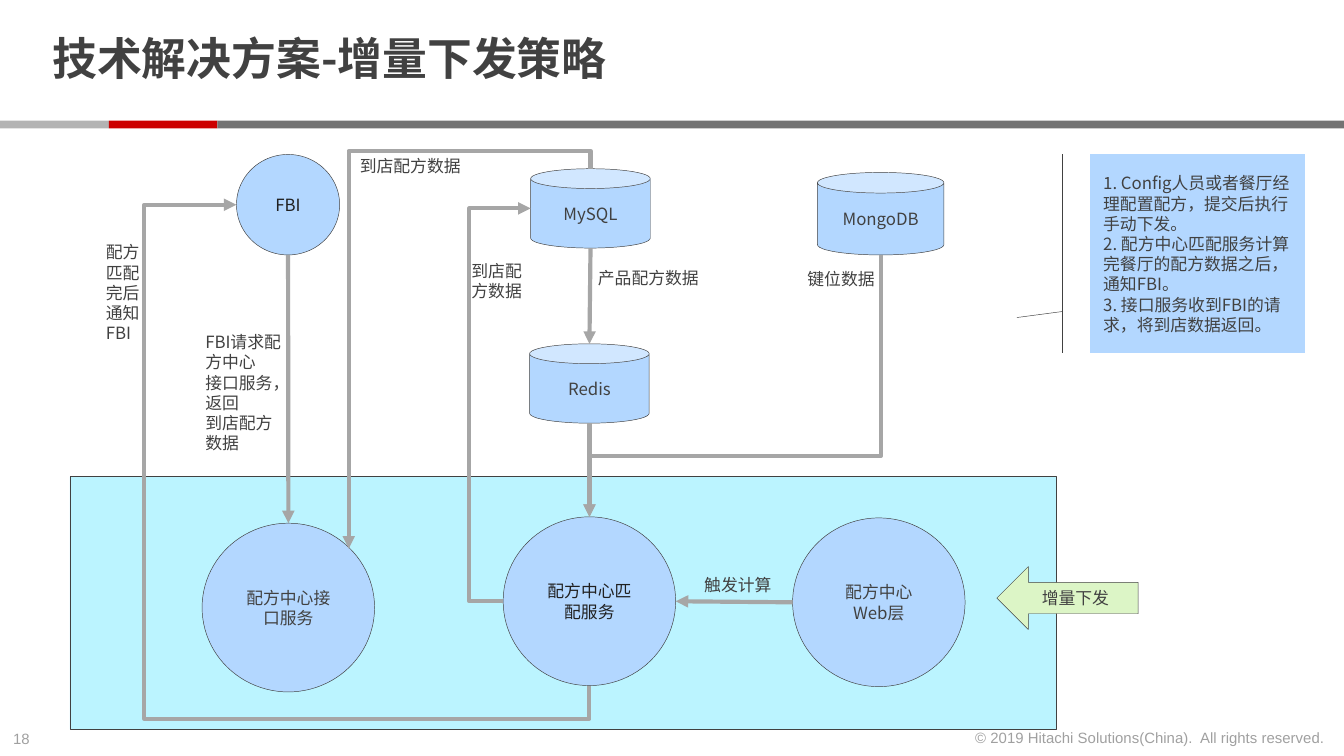
from dataclasses import dataclass

from lxml import etree
from pptx import Presentation
from pptx.dml.color import RGBColor
from pptx.enum.shapes import MSO_CONNECTOR, MSO_SHAPE
from pptx.enum.text import MSO_ANCHOR, PP_ALIGN
from pptx.oxml.ns import qn
from pptx.util import Cm, Pt

RECTANGLE, ELLIPSE, CAN = MSO_SHAPE.RECTANGLE, MSO_SHAPE.OVAL, MSO_SHAPE.CAN
LEFT_ARROW, CALLOUT = MSO_SHAPE.LEFT_ARROW, MSO_SHAPE.LINE_CALLOUT_1_ACCENT_BAR
STRAIGHT, ELBOW = MSO_CONNECTOR.STRAIGHT, MSO_CONNECTOR.ELBOW
LEFT, CENTER, RIGHT = PP_ALIGN.LEFT, PP_ALIGN.CENTER, PP_ALIGN.RIGHT
TOP, MIDDLE = MSO_ANCHOR.TOP, MSO_ANCHOR.MIDDLE


@dataclass(frozen=True)
class Theme:
    text: str = "414141"
    strong: str = "202020"
    muted: str = "A0A0A0"
    node: str = "B3D7FF"
    panel: str = "BBF4FF"
    trigger: str = "DCF5C6"
    connector: str = "A6A6A6"
    bands: tuple = ("B3B3B3", "CC0000", "737373")
    cjk: str = "Noto Sans CJK SC"
    latin: str = "Arial"
    title_size: float = 24
    body_size: float = 9
    footer_size: float = 8
    outline: float = 0.25
    arrow: float = 2.25


THEME = Theme()


@dataclass(frozen=True)
class Box:
    left: float
    top: float
    width: float
    height: float

    def inside(self, left, top, width, height):
        return Box(self.left + left, self.top + top, width, height)

    def at(self, across, down):
        return self.left + self.width * across, self.top + self.height * down

    def lengths(self):
        return Cm(self.left), Cm(self.top), Cm(self.width), Cm(self.height)


def write(shape, lines, size=THEME.body_size, color=THEME.text, font=THEME.cjk,
          align=LEFT, anchor=TOP, wrap=True, bold=False):
    frame = shape.text_frame
    frame.word_wrap = wrap
    frame.vertical_anchor = anchor
    for index, line in enumerate(lines):
        paragraph = frame.add_paragraph() if index else frame.paragraphs[0]
        paragraph.alignment = align
        run = paragraph.add_run()
        run.text = line
        run.font.size = Pt(size)
        run.font.bold = bold
        run.font.name = font
        run.font.color.rgb = RGBColor.from_string(color)
        east_asian = etree.SubElement(run.font._element, qn("a:ea"))
        east_asian.set("typeface", THEME.cjk)
    return frame


def add_text(slide, box, *lines, **style):
    return write(slide.shapes.add_textbox(*box.lengths()), lines, **style)


def add_block(slide, kind, box, fill, *lines, outlined=True, align=CENTER, color=THEME.text):
    shape = slide.shapes.add_shape(kind, *box.lengths())
    shape.shadow.inherit = False
    shape.fill.solid()
    shape.fill.fore_color.rgb = RGBColor.from_string(fill)
    if outlined:
        shape.line.color.rgb = RGBColor.from_string(THEME.text)
        shape.line.width = Pt(THEME.outline)
    else:
        shape.line.fill.background()
    write(shape, lines, color=color, align=align, anchor=MIDDLE)
    return shape


def add_arrow(slide, kind, start, end):
    connector = slide.shapes.add_connector(kind, *map(Cm, start + end))
    connector.line.color.rgb = RGBColor.from_string(THEME.connector)
    connector.line.width = Pt(THEME.arrow)
    etree.SubElement(connector.line._get_or_add_ln(), qn("a:tailEnd")).set("type", "triangle")
    etree.SubElement(connector._element.spPr, qn("a:effectLst"))
    return connector


def add_elbow(slide, start, end, lane_x=None, lane_y=None):
    (start_x, start_y), (end_x, end_y) = start, end
    across, down = end_x - start_x, end_y - start_y
    ratios = []
    if lane_y is not None:
        ratios.append((lane_y - start_y) / down)
    if lane_x is not None:
        ratios.append((lane_x - start_x) / across)
    if lane_y is None:
        connector = add_arrow(slide, ELBOW, start, end)
    else:
        middle_x, middle_y = (start_x + end_x) / 2, (start_y + end_y) / 2
        connector = add_arrow(slide, ELBOW,
                              (middle_x - down / 2, middle_y + across / 2),
                              (middle_x + down / 2, middle_y - across / 2))
        connector._element.spPr.find(qn("a:xfrm")).set("rot", str(90 * 60000))
    geometry = connector._element.spPr.find(qn("a:prstGeom"))
    geometry.set("prst", f"bentConnector{len(ratios) + 2}")
    guides = geometry.find(qn("a:avLst"))
    for number, ratio in enumerate(ratios, 1):
        guide = etree.SubElement(guides, qn("a:gd"))
        guide.set("name", f"adj{number}")
        guide.set("fmla", f"val {round(ratio * 100000)}")


def add_header(slide, box):
    frame = add_text(slide, box.inside(0.74, 0.15, 19.58, 2.03), "技术解决方案-增量下发策略",
                     size=THEME.title_size, anchor=MIDDLE, bold=True)
    frame.margin_top = frame.margin_bottom = 0
    frame.paragraphs[0].line_spacing = 0.85
    edges = (0, 2.06, 4.11, box.width)
    for left, right, color in zip(edges, edges[1:], THEME.bands):
        add_block(slide, RECTANGLE, box.inside(left, 2.28, right - left, 0.15), color,
                  outlined=False)


def add_diagram(slide, box):
    add_block(slide, RECTANGLE, box.inside(0, 6.21, 18.64, 4.78), THEME.panel)
    service = (3.26, 3.19)
    database = (2.26, 1.5)
    matcher = box.inside(8.19, 6.97, *service)
    interface = box.inside(2.5, 7.09, *service)
    web = box.inside(13.66, 6.99, *service)
    fbi = box.inside(3.15, 0.12, 1.95, 1.9)
    mongo = box.inside(14.13, 0.46, 2.39, 1.56)
    mysql = box.inside(8.71, 0.39, *database)
    redis = box.inside(8.69, 3.7, *database)
    top, bottom, left, right = (0.5, 0), (0.5, 1), (0, 0.5), (1, 0.5)
    upper_right = (0.85, 0.15)

    for kind, node, name, color in (
        (ELLIPSE, matcher, "配方中心匹配服务", THEME.strong),
        (ELLIPSE, interface, "配方中心接口服务", THEME.text),
        (ELLIPSE, web, "配方中心Web层", THEME.text),
        (ELLIPSE, fbi, "FBI", THEME.strong),
        (CAN, mongo, "MongoDB", THEME.text),
        (CAN, mysql, "MySQL", THEME.text),
        (CAN, redis, "Redis", THEME.text),
    ):
        add_block(slide, kind, node, THEME.node, name, color=color)
    add_block(slide, LEFT_ARROW, box.inside(17.52, 7.91, 2.67, 1.19), THEME.trigger, "增量下发")

    for start, end in (
        (web.at(*left), matcher.at(*right)),
        (fbi.at(*bottom), interface.at(*top)),
        (mysql.at(*bottom), redis.at(*top)),
        (redis.at(*bottom), matcher.at(*top)),
    ):
        add_arrow(slide, STRAIGHT, start, end)
    add_elbow(slide, matcher.at(*left), mysql.at(*left), lane_x=box.left + 7.55)
    add_elbow(slide, mongo.at(*bottom), matcher.at(*top), lane_y=box.top + 5.82)
    add_elbow(slide, mysql.at(*top), interface.at(*upper_right), lane_y=box.top + 0.05)
    add_elbow(slide, matcher.at(*bottom), fbi.at(*left),
              lane_x=box.left + 1.41, lane_y=box.top + 10.79)

    for place, lines in (
        ((13.69, 2.15, 1.8, 0.64), ("键位数据",)),
        ((9.73, 2.13, 2.69, 0.64), ("产品配方数据",)),
        ((7.34, 2, 1.7, 1.02), ("到店配", "方数据")),
        ((5.23, 0.02, 2.49, 0.64), ("到店配方数据",)),
        ((2.31, 3.35, 2.01, 2.57), ("FBI请求配方中心", "接口服务，返回", "到店配方数据")),
        ((0.43, 1.65, 1.42, 2.18), ("配方匹配完后通知FBI",)),
        ((11.74, 7.94, 2.69, 0.64), ("触发计算",)),
    ):
        add_text(slide, box.inside(*place), *lines)


def add_steps(slide, box):
    callout = add_block(slide, CALLOUT, box, THEME.node,
                        "1. Config人员或者餐厅经理配置配方，提交后执行手动下发。",
                        "2. 配方中心匹配服务计算完餐厅的配方数据之后，通知FBI。",
                        "3. 接口服务收到FBI的请求，将到店数据返回。", align=LEFT)
    for index, ratio in enumerate((0.79, -0.13, 0.82, -0.34)):
        callout.adjustments[index] = ratio


def add_footer(slide, box):
    style = dict(size=THEME.footer_size, color=THEME.muted, font=THEME.latin)
    add_text(slide, box.inside(0, 0.03, 0.86, 0.61), "18", wrap=False, **style)
    add_text(slide, box.inside(box.width - 7.32, 0, 7.21, 0.61),
             "© 2019 Hitachi Solutions(China).  All rights reserved.", align=RIGHT, **style)


def main():
    presentation = Presentation()
    presentation.slide_width = Cm(25.4)
    presentation.slide_height = Cm(14.29)
    slide = presentation.slides.add_slide(presentation.slide_layouts[6])
    add_header(slide, Box(0, 0, 25.4, 2.43))
    add_diagram(slide, Box(1.32, 2.8, 20.19, 10.99))
    add_steps(slide, Box(20.6, 2.92, 4.06, 3.76))
    add_footer(slide, Box(0, 13.64, 25.4, 0.64))
    presentation.save("out.pptx")


if __name__ == "__main__":
    main()
